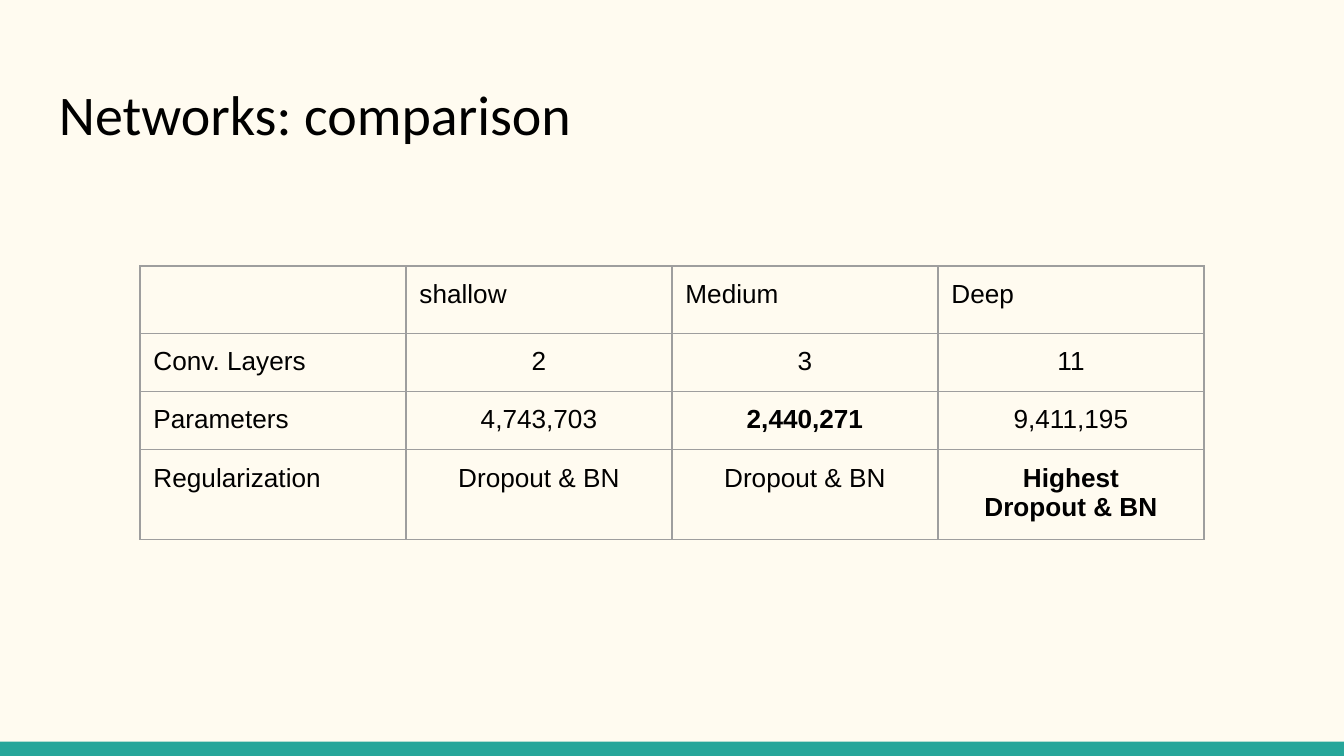
from dataclasses import dataclass

from lxml import etree
from pptx import Presentation
from pptx.dml.color import RGBColor
from pptx.enum import shapes, text
from pptx.oxml import ns
from pptx.util import Pt

BLACK, CREAM, TEAL, GREY = "000000", "FFFBF0", "26A69A", "9E9E9E"
INSET = Pt(7.2)
COLUMN_WIDTH = 142.5
ROW_HEIGHTS = (34.8, 30.2, 30.2, 46)


@dataclass(frozen=True)
class Entry:
    words: str
    bold: bool = False
    centred: bool = True


def label(words: str) -> Entry:
    return Entry(words, centred=False)


ROWS = (
    (label(""), label("shallow"), label("Medium"), label("Deep")),
    (label("Conv. Layers"), Entry("2"), Entry("3"), Entry("11")),
    (label("Parameters"), Entry("4,743,703"), Entry("2,440,271", bold=True), Entry("9,411,195")),
    (label("Regularization"), Entry("Dropout & BN"), Entry("Dropout & BN"),
     Entry("Highest\nDropout & BN", bold=True)),
)


def colour(value: str) -> RGBColor:
    return RGBColor.from_string(value)


def set_attributes(target, values: dict) -> None:
    for name, value in values.items():
        setattr(target, name, value)


def set_margins(target) -> None:
    """Give a text frame or a table cell the same inset on every side."""
    set_attributes(target, {f"margin_{side}": INSET for side in ("left", "right", "top", "bottom")})


def style_runs(paragraph, font_name: str, size: float, bold: bool = False) -> None:
    for run in paragraph.runs:
        set_attributes(run.font, {"name": font_name, "size": Pt(size), "bold": bold})
        run.font.color.rgb = colour(BLACK)


def add_borders(cell) -> None:
    """Draw all four cell borders; they must come before the fill element."""
    properties = cell._tc.get_or_add_tcPr()
    for index, tag in enumerate(("a:lnL", "a:lnR", "a:lnT", "a:lnB")):
        line = etree.Element(ns.qn(tag), w=str(Pt(0.75)))
        fill = etree.SubElement(line, ns.qn("a:solidFill"))
        etree.SubElement(fill, ns.qn("a:srgbClr"), val=GREY)
        properties.insert(index, line)


def fill_cell(cell, entry: Entry) -> None:
    cell.fill.background()
    add_borders(cell)
    set_margins(cell)
    cell.text = entry.words
    for paragraph in cell.text_frame.paragraphs:
        paragraph.alignment = text.PP_ALIGN.CENTER if entry.centred else text.PP_ALIGN.LEFT
        style_runs(paragraph, "Arial", 14, entry.bold)


def add_footer_bar(slide) -> None:
    bar = slide.shapes.add_shape(shapes.MSO_SHAPE.RECTANGLE, Pt(0), Pt(397.3), Pt(720), Pt(7.7))
    bar.shadow.inherit = False
    bar.fill.solid()
    bar.fill.fore_color.rgb = colour(TEAL)
    bar.line.fill.background()


def add_title(slide, words: str) -> None:
    frame = slide.shapes.add_textbox(Pt(24.5), Pt(35.5), Pt(671), Pt(48)).text_frame
    set_attributes(frame, {"word_wrap": True, "vertical_anchor": text.MSO_ANCHOR.TOP})
    set_margins(frame)
    frame.text = words
    style_runs(frame.paragraphs[0], "Calibri", 30)


def add_comparison_table(slide) -> None:
    columns = len(ROWS[0])
    table = slide.shapes.add_table(
        len(ROWS), columns, Pt(75), Pt(142.5), Pt(columns * COLUMN_WIDTH), Pt(sum(ROW_HEIGHTS))
    ).table
    set_attributes(table, {"first_row": False, "horz_banding": False})
    for column in table.columns:
        column.width = Pt(COLUMN_WIDTH)
    for row, height, entries in zip(table.rows, ROW_HEIGHTS, ROWS):
        row.height = Pt(height)
        for cell, entry in zip(row.cells, entries):
            fill_cell(cell, entry)


def main() -> None:
    presentation = Presentation()
    set_attributes(presentation, {"slide_width": Pt(720), "slide_height": Pt(405)})
    slide = presentation.slides.add_slide(presentation.slide_layouts[6])
    slide.background.fill.solid()
    slide.background.fill.fore_color.rgb = colour(CREAM)
    add_footer_bar(slide)
    add_title(slide, "Networks: comparison")
    add_comparison_table(slide)
    presentation.save("out.pptx")


if __name__ == "__main__":
    main()
